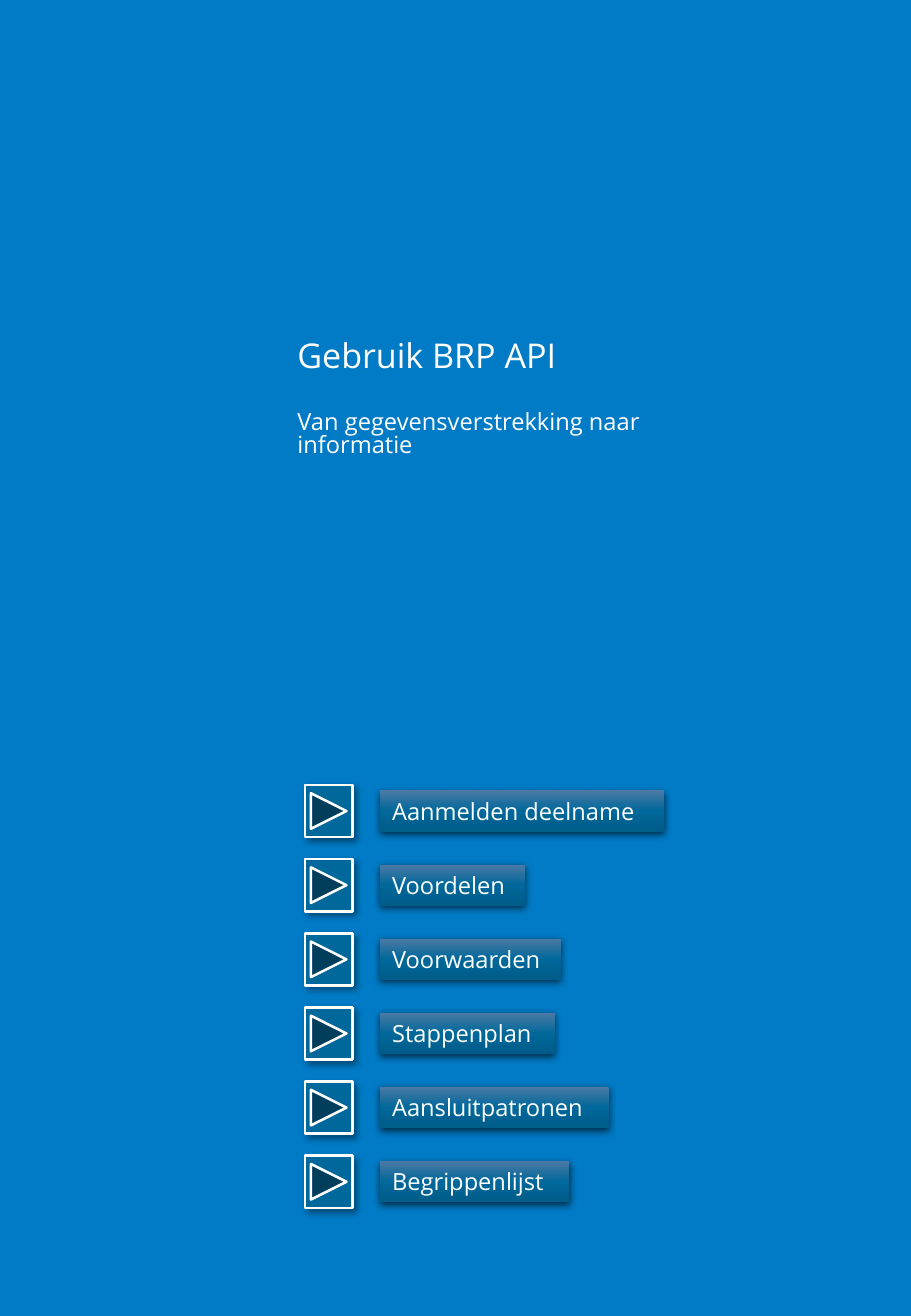
from copy import deepcopy
from typing import NamedTuple

from lxml.etree import SubElement
from pptx import Presentation
from pptx.dml.color import RGBColor
from pptx.enum.shapes import MSO_SHAPE as Preset
from pptx.enum.text import MSO_ANCHOR as Anchor, MSO_AUTO_SIZE as AutoSize, PP_ALIGN as Align
from pptx.oxml.ns import qn
from pptx.shapes.autoshape import Shape
from pptx.shapes.shapetree import SlideShapes
from pptx.util import Cm, Pt

FONT = "Open Sans"
BLUE, TEAL, WHITE = "017BC6", "00689A", "FFFFFF"
LABEL_GRADIENT = [(0, "4B7AA5"), (0.5, TEAL), (1, "005C89")]

# Menu grid in cm
BUTTON_LEFT, BUTTON_TOP, BUTTON_WIDTH, BUTTON_HEIGHT = 6.38, 16.41, 0.99, 1.09
LABEL_LEFT, LABEL_HEIGHT = 7.95, 0.86
ROW_PITCH = 1.55


class MenuItem(NamedTuple):
    label: str
    width: float


class Shadow(NamedTuple):
    opacity: int
    blur: float
    distance: float
    angle: int


MENU = [
    MenuItem("Aanmelden deelname", 5.94),
    MenuItem("Voordelen", 3.02),
    MenuItem("Voorwaarden", 3.78),
    MenuItem("Stappenplan", 3.66),
    MenuItem("Aansluitpatronen", 4.78),
    MenuItem("Begrippenlijst", 3.96),
]
BUTTON_SHADOW = Shadow(40, 4, 3, 45)
LABEL_SHADOW = Shadow(63, 4.5, 1.5, 90)


def color(value: str) -> RGBColor:
    return RGBColor.from_string(value)


def format_runs(paragraph, size: float) -> None:
    for run in paragraph.runs:
        run.font.name = FONT
        run.font.size = Pt(size)
        run.font.color.rgb = color(WHITE)


def add_shadow(shape: Shape, shadow: Shadow) -> None:
    shape.shadow.inherit = False
    effects = shape.element.spPr.find(qn("a:effectLst"))
    outer = SubElement(effects, qn("a:outerShdw"), {
        "blurRad": str(Pt(shadow.blur)),
        "dist": str(Pt(shadow.distance)),
        "dir": str(shadow.angle * 60000),
        "algn": "ctr",
        "rotWithShape": "0",
    })
    tint = SubElement(outer, qn("a:srgbClr"), {"val": "000000"})
    SubElement(tint, qn("a:alpha"), {"val": str(shadow.opacity * 1000)})


def fill_gradient(shape: Shape) -> None:
    shape.fill.gradient()
    shape.fill.gradient_angle = 270
    stop_list = shape.element.spPr.find(f".//{qn('a:gsLst')}")
    stop_list.append(deepcopy(stop_list[-1]))
    for stop, (position, value) in zip(shape.fill.gradient_stops, LABEL_GRADIENT):
        stop.position = position
        stop.color.rgb = color(value)


def add_button(shapes: SlideShapes, top: float) -> None:
    button = shapes.add_shape(Preset.ACTION_BUTTON_FORWARD_OR_NEXT, Cm(BUTTON_LEFT), Cm(top),
                              Cm(BUTTON_WIDTH), Cm(BUTTON_HEIGHT))
    button.fill.solid()
    button.fill.fore_color.rgb = color(TEAL)
    button.line.color.rgb = color(WHITE)
    button.line.width = Pt(1.5)
    add_shadow(button, BUTTON_SHADOW)


def add_label(shapes: SlideShapes, item: MenuItem, top: float) -> None:
    label = shapes.add_shape(Preset.RECTANGLE, Cm(LABEL_LEFT), Cm(top),
                             Cm(item.width), Cm(LABEL_HEIGHT))
    fill_gradient(label)
    label.line.fill.background()
    add_shadow(label, LABEL_SHADOW)
    frame = label.text_frame
    frame.text = item.label
    frame.word_wrap = False
    frame.auto_size = AutoSize.SHAPE_TO_FIT_TEXT
    frame.vertical_anchor = Anchor.TOP
    frame.paragraphs[0].alignment = Align.LEFT
    format_runs(frame.paragraphs[0], 14)


def add_heading(shapes: SlideShapes) -> None:
    heading = shapes.add_textbox(Cm(5.97), Cm(6.91), Cm(9.25), Cm(5.79))
    frame = heading.text_frame
    frame.word_wrap = True
    frame.margin_left = frame.margin_right = Cm(0.25)
    frame.margin_top = frame.margin_bottom = Cm(0.25)
    frame.text = "Gebruik BRP API\nVan gegevensverstrekking naar informatie"
    title, subtitle = frame.paragraphs
    for paragraph, size in ((title, 20.2), (subtitle, 14)):
        paragraph.line_spacing = 0.8
        format_runs(paragraph, size)
    subtitle.space_before = Pt(22)


def main() -> None:
    deck = Presentation()
    deck.slide_width, deck.slide_height = Cm(19.05), Cm(27.51)
    slide = deck.slides.add_slide(deck.slide_layouts[6])
    slide.background.fill.solid()
    slide.background.fill.fore_color.rgb = color(BLUE)

    add_heading(slide.shapes)

    # Menu rows, each label centred on its button
    label_offset = (BUTTON_HEIGHT - LABEL_HEIGHT) / 2
    for row, item in enumerate(MENU):
        top = BUTTON_TOP + row * ROW_PITCH
        add_button(slide.shapes, top)
        add_label(slide.shapes, item, top + label_offset)

    deck.save("out.pptx")


if __name__ == "__main__":
    main()
